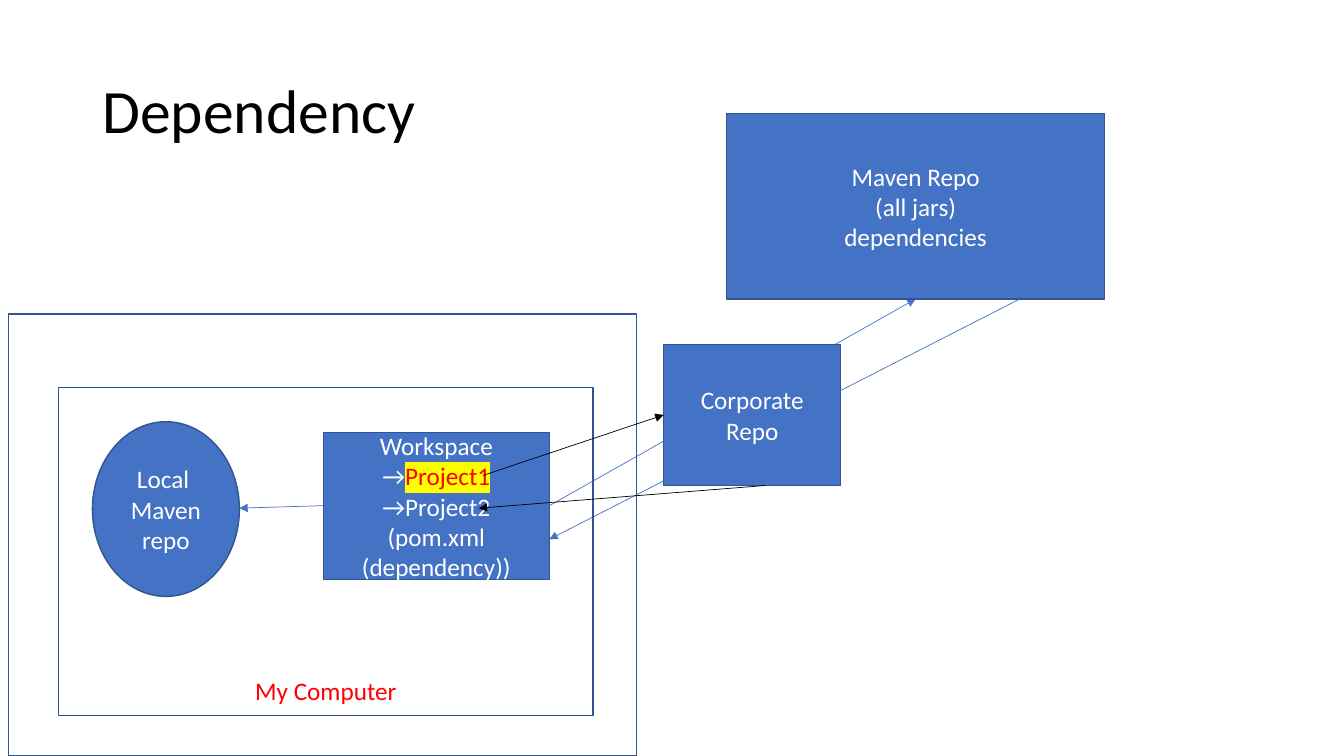
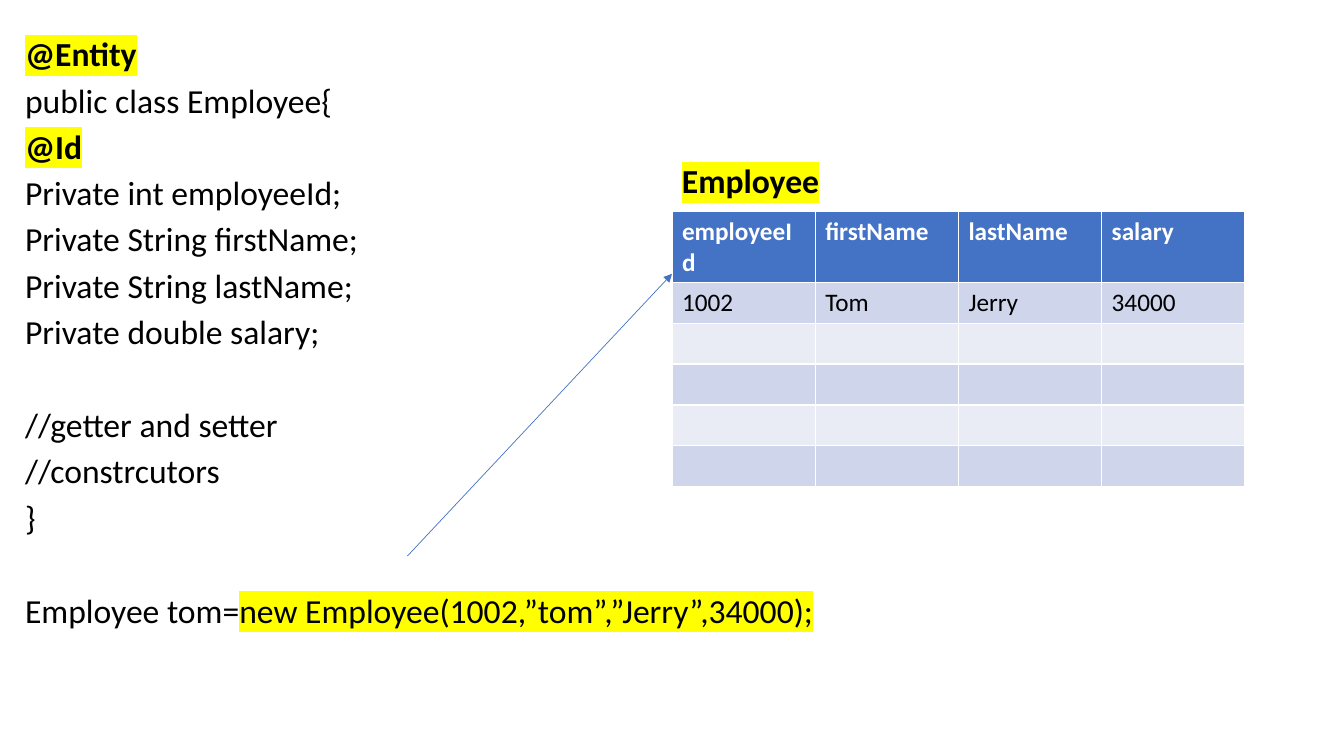
from lxml import etree
from pptx import Presentation, util as u
from pptx.dml.color import RGBColor
from pptx.enum import shapes, text
from pptx.oxml.ns import qn

rgb = RGBColor.from_string
BLUE, EDGE, BLACK, WHITE = "4472C4", "325491", "000000", "FFFFFF"
RED, YELLOW = "FF0000", "FFFF00"
PALE, PALER = "CFD5EA", "E9EBF5"
FONT = "Calibri"

deck = Presentation()
deck.slide_width, deck.slide_height = u.Inches(13.33), u.Inches(7.5)
COL, ROW = deck.slide_width / 160, deck.slide_height / 90


def write(frame, lines, size, color, align=text.PP_ALIGN.LEFT, bold=False):
    """Fill a frame; the part of a line after "|" is highlighted."""
    frame.word_wrap = True
    for number, line in enumerate(lines):
        paragraph = frame.add_paragraph() if number else frame.paragraphs[0]
        paragraph.alignment = align
        for part, words in enumerate(line.split("|")):
            if not words:
                continue
            run = paragraph.add_run()
            run.text = words
            run.font.name, run.font.size, run.font.bold = FONT, u.Pt(size), bold
            run.font.color.rgb = rgb(color)
            if part:
                highlight = etree.Element(qn("a:highlight"))
                etree.SubElement(highlight, qn("a:srgbClr"), val=YELLOW)
                run.font._element.find(qn("a:solidFill")).addnext(highlight)


def arrow(slide, start, end, color):
    ends = [round(n * unit) for n, unit in zip(start + end, (COL, ROW) * 2)]
    link = slide.shapes.add_connector(shapes.MSO_CONNECTOR.STRAIGHT, *ends)
    link.line.color.rgb = rgb(color)
    link.line.width = u.Pt(0.5)
    properties = link._element.spPr
    etree.SubElement(properties.find(qn("a:ln")), qn("a:tailEnd"), type="triangle")
    etree.SubElement(properties, qn("a:effectLst"))


blank = deck.slide_layouts[6]
dependency = deck.slides.add_slide(blank)
entity = deck.slides.add_slide(blank)

frames = []
for slide, left, top, width, height in [
    (dependency, 11, 4.8, 138, 17.4),
    (entity, 1.8, 4.3, 98.9, 76.7),
    (entity, 80, 18.5, 80, 6),
]:
    box = slide.shapes.add_textbox(
        round(left * COL), round(top * ROW), round(width * COL), round(height * ROW))
    frames.append(box.text_frame)
heading, code, table_name = frames

write(heading, ["Dependency"], 44, BLACK)
heading.vertical_anchor = text.MSO_ANCHOR.MIDDLE
heading.paragraphs[0].line_spacing = 0.9

for start, end in [
    ((65.4, 60.2), (109, 35.6)),
    ((121.4, 35.6), (65.4, 64.2)),
    ((38.5, 60.2), (28.5, 60.5)),
]:
    arrow(dependency, start, end, BLUE)

RECT, OVAL = shapes.MSO_SHAPE.RECTANGLE, shapes.MSO_SHAPE.OVAL
nodes = {}
for name, outline, fill, left, top, width, height, lines in [
    ("maven", RECT, BLUE, 86.5, 13.5, 45, 22.1,
     ["Maven Repo", "(all jars)", "dependencies"]),
    ("computer", RECT, None, 7, 46.1, 63.6, 39.1, ["My Computer"]),
    ("workspace", RECT, BLUE, 38.5, 51.5, 26.9, 17.5,
     ["Workspace", "→|Project1", "→Project2", "(pom.xml (dependency))"]),
    ("local", OVAL, BLUE, 11, 50.2, 17.5, 20.8, ["Local ", "Maven repo"]),
    ("corporate", RECT, BLUE, 79, 41, 21.1, 16.8, ["Corporate", "Repo"]),
    ("surroundings", RECT, None, 1, 37.4, 74.8, 52.6, []),
]:
    node = dependency.shapes.add_shape(
        outline, round(left * COL), round(top * ROW), round(width * COL), round(height * ROW))
    node.shadow.inherit = False
    node.line.color.rgb = rgb(EDGE)
    node.line.width = u.Pt(1)
    if fill:
        node.fill.solid()
        node.fill.fore_color.rgb = rgb(fill)
    else:
        node.fill.background()
    write(node.text_frame, lines, 18, WHITE if fill else RED, text.PP_ALIGN.CENTER)
    node.text_frame.vertical_anchor = text.MSO_ANCHOR.MIDDLE
    nodes[name] = node.text_frame

nodes["computer"].vertical_anchor = text.MSO_ANCHOR.BOTTOM
nodes["computer"].margin_bottom = u.Inches(0.1)
nodes["workspace"].paragraphs[1].runs[1].font.color.rgb = rgb(RED)

arrow(dependency, (57.5, 56.6), (79, 49.4), BLACK)
arrow(dependency, (91.1, 57.8), (57, 60.5), BLACK)

write(code, [
    "|@Entity",
    "public class Employee{",
    "|@Id",
    "Private int employeeId;",
    "Private String firstName;",
    "Private String lastName;",
    "Private double salary;",
    "//getter and setter",
    "//constrcutors",
    "}",
    "Employee tom=|new Employee(1002,”tom”,”Jerry”,34000);",
], 24, BLACK)
for number, paragraph in enumerate(code.paragraphs):
    paragraph.line_spacing = 0.8
    if number:
        starts_block = paragraph.text.startswith(("//getter", "Employee tom"))
        paragraph.space_before = u.Pt(43.4 if starts_block else 10)
    if paragraph.text.startswith("@"):
        paragraph.runs[0].font.bold = True

write(table_name, ["|Employee"], 24, BLACK, bold=True)

records = [
    ["employeeId", "firstName", "lastName", "salary"],
    ["1002", "Tom", "Jerry", "34000"],
] + [[""] * 4] * 4
employees = entity.shapes.add_table(
    len(records), 4, round(80 * COL), round(25.2 * ROW),
    round(68.2 * COL), round(29.2 * ROW)).table
for row, record in enumerate(records):
    for column, value in enumerate(record):
        cell = employees.cell(row, column)
        cell.fill.solid()
        cell.fill.fore_color.rgb = rgb((PALE if row % 2 else PALER) if row else BLUE)
        write(cell.text_frame, [value], 18, BLACK if row else WHITE, bold=row == 0)

arrow(entity, (48.5, 66.2), (80, 32.6), BLUE)

deck.save("out.pptx")
